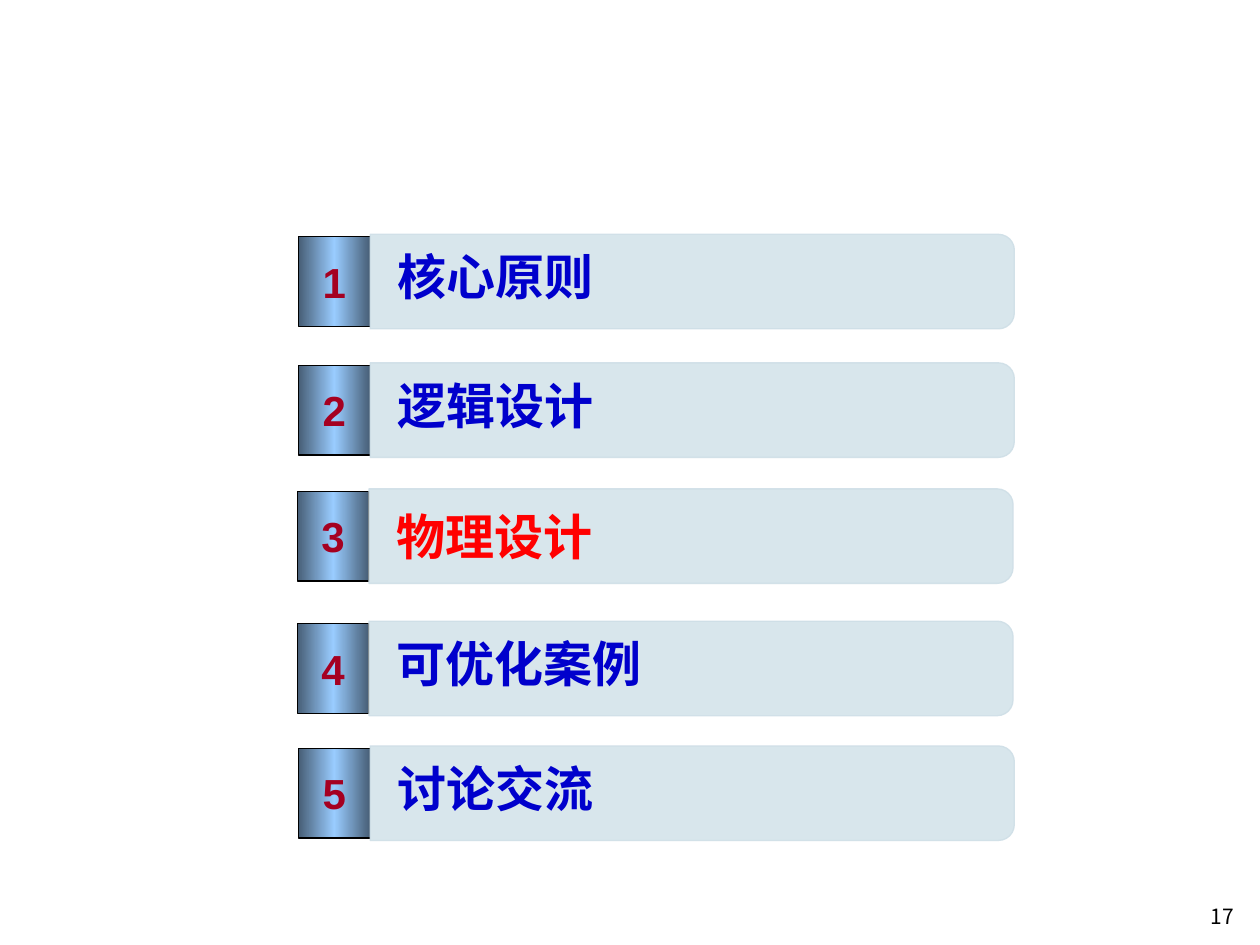
from copy import deepcopy

from lxml import etree
from pptx import Presentation
from pptx.dml.color import RGBColor
from pptx.enum.shapes import MSO_SHAPE
from pptx.enum.text import MSO_ANCHOR, PP_ALIGN
from pptx.oxml.ns import qn
from pptx.util import Inches, Pt

RECT = MSO_SHAPE.RECTANGLE
ROUND = MSO_SHAPE.ROUND_2_SAME_RECTANGLE
MIDDLE = MSO_ANCHOR.MIDDLE
CENTER = PP_ALIGN.CENTER

WIDE, HIGH = 10, 7.5
ROW_W, ROW_H = 5.68, 0.75
TAB_W, TAB_H = 0.1 * ROW_W, 0.95 * ROW_H
BLUE, RED = "0000CC", "FF0000"
TOPICS = [
    ("核心原则", 2.37, 1.86, 0.05, BLUE),
    ("逻辑设计", 2.37, 2.88, 0.05, BLUE),
    ("物理设计", 2.36, 3.88, 0.09, RED),
    ("可优化案例", 2.36, 4.93, 0.05, BLUE),
    ("讨论交流", 2.37, 5.92, 0.05, BLUE),
]


def color(code):
    return RGBColor.from_string(code)


def write(frame, text, size, code, bold=True, face="Arial"):
    para = frame.paragraphs[0]
    para.text = text
    font = para.font
    font.name, font.size, font.bold = face, Pt(size), bold
    font.color.rgb = color(code)
    return para


def add_form(group, kind, x, y, w, h, edge):
    form = group.shapes.add_shape(kind, *map(Inches, (x, y, w, h)))
    form.shadow.inherit = False
    form.line.color.rgb = color(edge)
    form.line.width = Pt(0.75)
    return form


def shade(form, codes):
    form.fill.gradient()
    form.fill.gradient_angle = 0
    stops = form._element.spPr.find(".//" + qn("a:gsLst"))
    stops.append(deepcopy(stops[-1]))
    for i, (stop, code) in enumerate(zip(form.fill.gradient_stops, codes)):
        stop.position = i / (len(codes) - 1)
        stop.color.rgb = color(code)


def add_tab(group, x, y, w, h, text):
    tab = add_form(group, RECT, x, y, w, h, "000000")
    shade(tab, ("475E76", "99CCFF", "475E76"))
    frame = tab.text_frame
    frame.word_wrap = False
    frame.vertical_anchor = MIDDLE
    write(frame, text, 24, "A50021").alignment = CENTER


def add_bar(group, x, y, w, h):
    left, top = x + (w - h) / 2, y + (h - w) / 2
    bar = add_form(group, ROUND, left, top, h, w, "CFDFE7")
    bar.rotation = 90
    bar.fill.solid()
    bar.fill.fore_color.rgb = color("D4E4EB")
    for tint in bar._element.spPr.iter(qn("a:srgbClr")):
        etree.SubElement(tint, qn("a:alpha"), val="90000")


def add_label(shapes, x, y, w, h):
    box = shapes.add_textbox(*map(Inches, (x, y, w, h)))
    box.text_frame.word_wrap = True
    return box.text_frame


def add_row(slide, x, y, w, h, num, text, drop, code):
    group = slide.shapes.add_group_shape()
    add_tab(group, x, y + (h - TAB_H) / 2, TAB_W, TAB_H, str(num))
    add_bar(group, x + TAB_W, y, w - TAB_W, h)
    frame = add_label(group.shapes, x + 0.69, y + drop, w - 0.69, 0.6)
    write(frame, text, 28, code)


def add_page(slide, x, y, w, h, num):
    frame = add_label(slide.shapes, x, y, w, h)
    frame.vertical_anchor = MIDDLE
    write(frame, str(num), 12, "000000", False, "Noto Sans CJK SC")


def main():
    deck = Presentation()
    deck.slide_width, deck.slide_height = Inches(WIDE), Inches(HIGH)
    slide = deck.slides.add_slide(deck.slide_layouts[6])
    for num, (text, x, y, drop, code) in enumerate(TOPICS, 1):
        add_row(slide, x, y, ROW_W, ROW_H, num, text, drop, code)
    add_page(slide, WIDE - 0.49, HIGH - 0.43, 0.45, 0.4, 17)
    deck.save("out.pptx")


if __name__ == "__main__":
    main()
